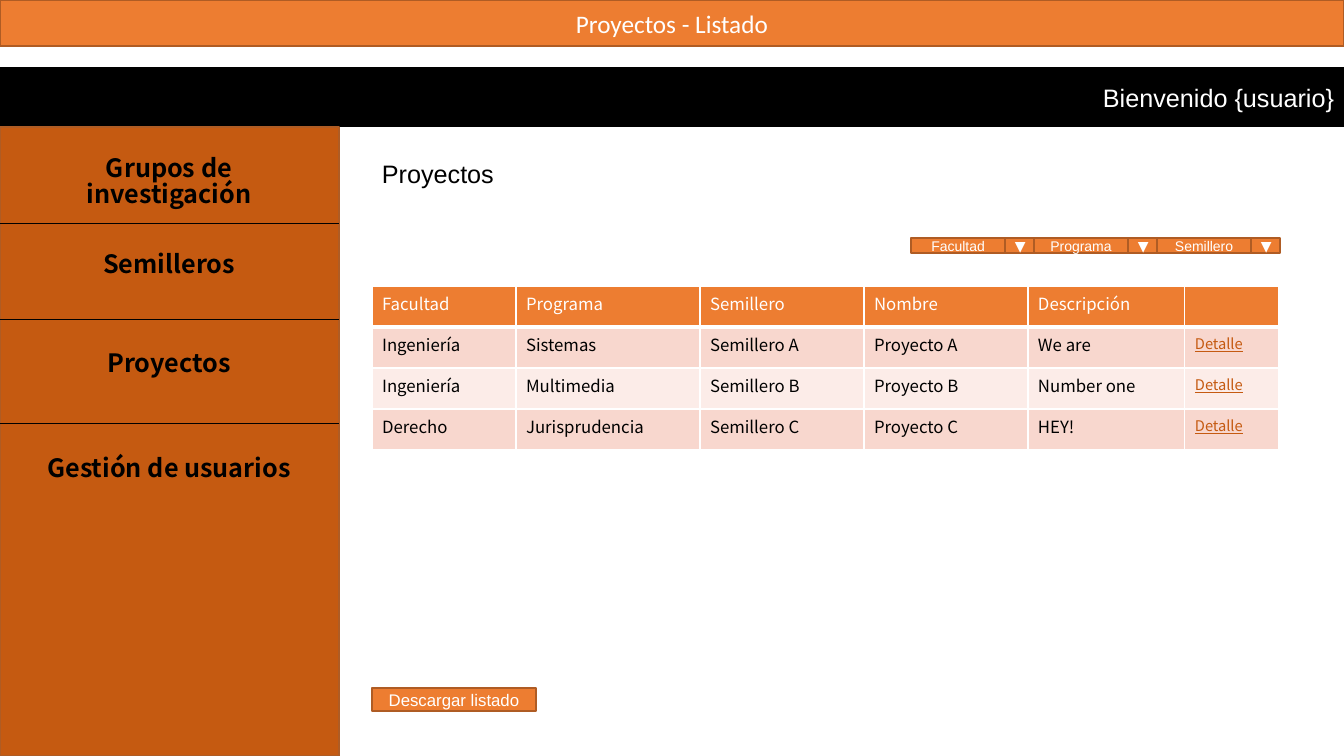
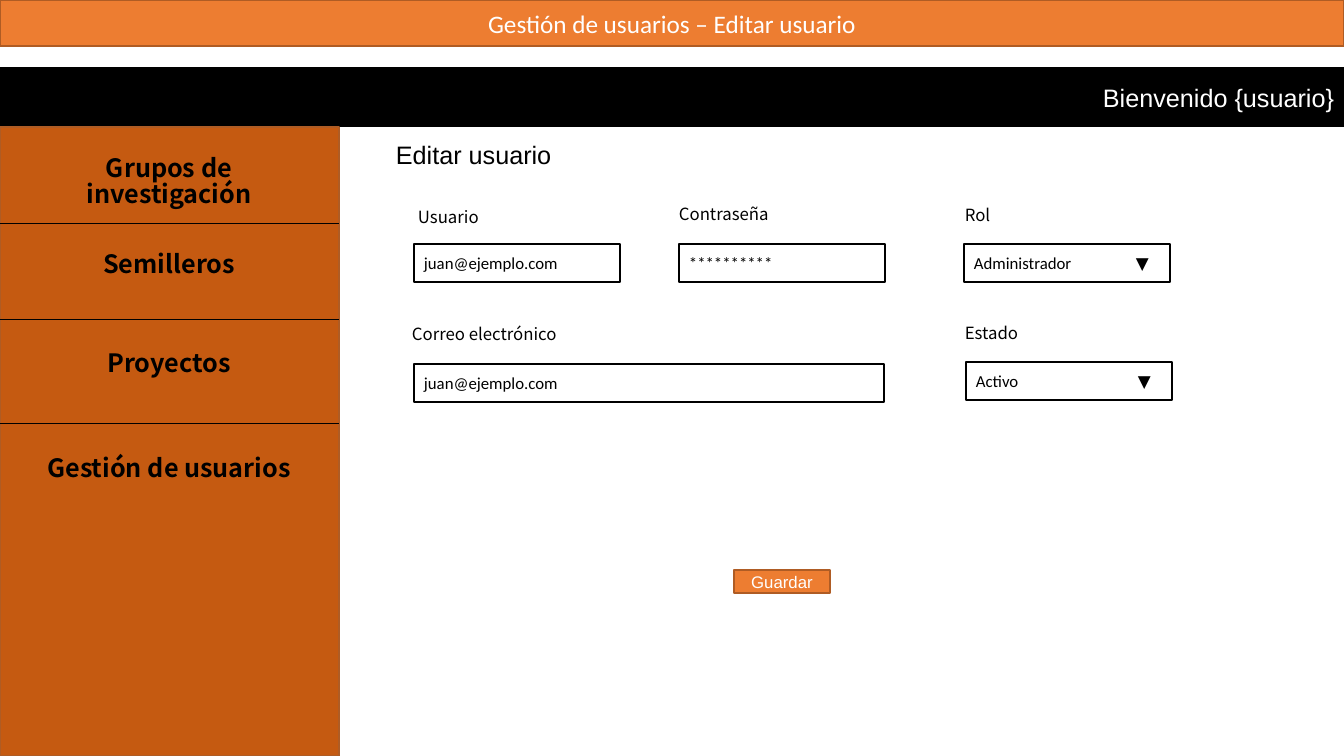
from pptx import Presentation
from pptx import util as u
from pptx.dml.color import RGBColor
from pptx.enum import shapes, text
from pptx.oxml.ns import qn
from lxml import etree

W, H = 1344, 756
SCALE = 12192000 / W
ORANGE, RUST, EDGE = "ED7D31", "C55A11", "AF5C24"
BLACK, WHITE = "000000", "FFFFFF"
BANDS = ["F8D7CE", "FCECE8"]
NOTO, ARIAL, CALIBRI = "Noto Sans CJK SC", "Arial", "Calibri"
LEFT, CENTER, RIGHT = text.PP_ALIGN.LEFT, text.PP_ALIGN.CENTER, text.PP_ALIGN.RIGHT
SIDE_W = 339
MENU = [("Grupos de investigación", 153), ("Semilleros", 249),
        ("Proyectos", 348), ("Gestión de usuarios", 452)]
DIVIDERS = [223, 319, 423]
FILTERS = ["Facultad", "Programa", "Semillero"]
COLUMNS = [144, 184, 164, 164, 157, 94]
ROWS = [
    ["Facultad", "Programa", "Semillero", "Nombre", "Descripción", ""],
    ["Ingeniería", "Sistemas", "Semillero A", "Proyecto A", "We are", "Detalle"],
    ["Ingeniería", "Multimedia", "Semillero B", "Proyecto B", "Number one", "Detalle"],
    ["Derecho", "Jurisprudencia", "Semillero C", "Proyecto C", "HEY!", "Detalle"],
]
FIELDS = [
    ("Usuario", 408, 205, "juan@ejemplo.com", 414, 244, 206),
    ("Contraseña", 669, 202, "**********", 679, 244, 206),
    ("Rol", 955, 203, "Administrador\t▼", 964, 244, 206),
    ("Correo electrónico", 402, 322, "juan@ejemplo.com", 414, 364, 470),
    ("Estado", 955, 321, "Activo\t▼", 966, 362, 206),
]
ARROW_TAB = 162


def px(n):
    """Turn px into EMU."""
    return u.Emu(round(n * SCALE))


def rgb(color):
    """Turn a hex string into a colour."""
    return RGBColor.from_string(color)


def write(tf, content, size=12, font=ARIAL, color=BLACK, bold=False,
          underline=False, align=LEFT, spacing=None):
    """Write one formatted paragraph into a text frame."""
    p = tf.paragraphs[0]
    p.alignment = align
    if spacing:
        p.line_spacing = spacing
    r = p.add_run()
    r.text = content
    f = r.font
    f.size, f.name, f.bold, f.underline = u.Pt(size), font, bold, underline
    f.color.rgb = rgb(color)
    return p


def paint(sp, fill, line):
    """Give a shape its fill and one-point outline."""
    sp.fill.solid()
    sp.fill.fore_color.rgb = rgb(fill)
    sp.line.color.rgb = rgb(line)
    sp.line.width = u.Pt(1)


def box(parent, x, y, w, h, content="", fill=ORANGE, line=EDGE, **fmt):
    """Add a filled rectangle with optional text."""
    sp = parent.add_shape(shapes.MSO_SHAPE.RECTANGLE, px(x), px(y), px(w), px(h))
    sp.shadow.inherit = False
    paint(sp, fill, line)
    sp.text_frame.vertical_anchor = text.MSO_ANCHOR.MIDDLE
    if content:
        write(sp.text_frame, content, **fmt)
    return sp


def button(parent, x, y, w, h, content, **fmt):
    """Add an orange button with centred white text."""
    box(parent, x, y, w, h, content, color=WHITE, align=CENTER, **fmt)


def label(s, x, y, w, h, content, **fmt):
    """Add a text box that grows with its text."""
    tf = s.shapes.add_textbox(px(x), px(y), px(w), px(h)).text_frame
    tf.word_wrap = True
    tf.auto_size = text.MSO_AUTO_SIZE.SHAPE_TO_FIT_TEXT
    write(tf, content, **fmt)


def divider(s, y):
    """Draw a thin line across the sidebar."""
    ln = s.shapes.add_connector(shapes.MSO_CONNECTOR.STRAIGHT,
                                px(0), px(y), px(SIDE_W), px(y))
    ln.line.color.rgb = rgb(BLACK)
    ln.line.width = u.Pt(0.5)
    etree.SubElement(ln._element.spPr, qn("a:effectLst"))


def title_band(s, content):
    """Turn the title placeholder into the top band."""
    sp = s.shapes.title
    sp.left, sp.top, sp.width, sp.height = px(0), px(0), px(W), px(46)
    paint(sp, ORANGE, EDGE)
    tf = sp.text_frame
    tf.auto_size = text.MSO_AUTO_SIZE.NONE
    tf.vertical_anchor = text.MSO_ANCHOR.MIDDLE
    write(tf, content, size=18, font=CALIBRI, color=WHITE, align=CENTER)


def new_screen(prs, title):
    """Add a slide with the title band, welcome bar and sidebar."""
    s = prs.slides.add_slide(prs.slide_layouts[5])
    title_band(s, title)
    box(s.shapes, 0, 68, W, 58, "Bienvenido {usuario}", fill=BLACK, line=BLACK,
        size=18, color=WHITE, align=RIGHT)
    box(s.shapes, 0, 127, SIDE_W, H - 127, fill=RUST)
    for y in DIVIDERS:
        divider(s, y)
    for item, y in MENU:
        label(s, 15, y, 308, 40, item, size=18, font=NOTO, bold=True,
              align=CENTER, spacing=0.83)
    return s


def border(cell, side, width):
    """Draw one white cell border."""
    ln = etree.SubElement(cell._tc.get_or_add_tcPr(), qn("a:" + side),
                          w=str(u.Pt(width)))
    fill = etree.SubElement(ln, qn("a:solidFill"))
    etree.SubElement(fill, qn("a:srgbClr"), val=WHITE)


def project_table(s, x, y, row_h):
    """Add the project table."""
    frame = s.shapes.add_table(len(ROWS), len(COLUMNS), px(x), px(y),
                               px(sum(COLUMNS)), px(row_h * len(ROWS)))
    tbl = frame.table
    tbl.first_row = tbl.horz_banding = False
    for col, w in zip(tbl.columns, COLUMNS):
        col.width = px(w)
    for i, row in enumerate(ROWS):
        tbl.rows[i].height = px(row_h)
        for j, content in enumerate(row):
            cell = tbl.cell(i, j)
            for side in ("lnL", "lnR", "lnT", "lnB"):
                heavy = (i, side) in ((0, "lnB"), (1, "lnT"))
                border(cell, side, 3 if heavy else 1)
            cell.fill.solid()
            cell.fill.fore_color.rgb = rgb(BANDS[(i - 1) % 2] if i else ORANGE)
            if content == "Detalle":
                write(cell.text_frame, content, size=10.5, font=NOTO,
                      color=RUST, underline=True)
            elif content:
                write(cell.text_frame, content, font=NOTO,
                      color=BLACK if i else WHITE)


def filter_box(s, x, y, content):
    """Add a grouped drop-down filter."""
    group = s.shapes.add_group_shape().shapes
    button(group, x, y, 94, 15, content, size=10)
    button(group, x + 94, y, 29, 15, "▼", size=10, font=CALIBRI)


def field(s, name, name_x, name_y, value, x, y, w):
    """Add a form field with its label."""
    label(s, name_x, name_y, 234, 50, name, font=NOTO, spacing=0.83)
    sp = box(s.shapes, x, y, w, 38, value, fill=WHITE, line=BLACK, font=CALIBRI)
    if "\t" in value:
        pPr = sp.text_frame.paragraphs[0]._p.get_or_add_pPr()
        tabs = etree.SubElement(pPr, qn("a:tabLst"))
        etree.SubElement(tabs, qn("a:tab"), pos=str(px(ARROW_TAB)), algn="l")


def project_list(prs):
    """Build the project list screen."""
    s = new_screen(prs, "Proyectos - Listado")
    label(s, 372, 153, 384, 40, "Proyectos", size=18)
    project_table(s, 372, 286, 41)
    button(s.shapes, 372, 688, 164, 23, "Descargar listado")
    for i, name in enumerate(FILTERS):
        filter_box(s, 911 + 123 * i, 238, name)


def user_form(prs):
    """Build the user form screen."""
    s = new_screen(prs, "Gestión de usuarios – Editar usuario")
    label(s, 386, 134, 339, 40, "Editar usuario", size=18)
    for entry in FIELDS:
        field(s, *entry)
    button(s.shapes, 734, 570, 96, 23, "Guardar")


def main():
    """Build and save the presentation."""
    prs = Presentation()
    prs.slide_width, prs.slide_height = px(W), px(H)
    project_list(prs)
    user_form(prs)
    prs.save("out.pptx")


if __name__ == "__main__":
    main()
